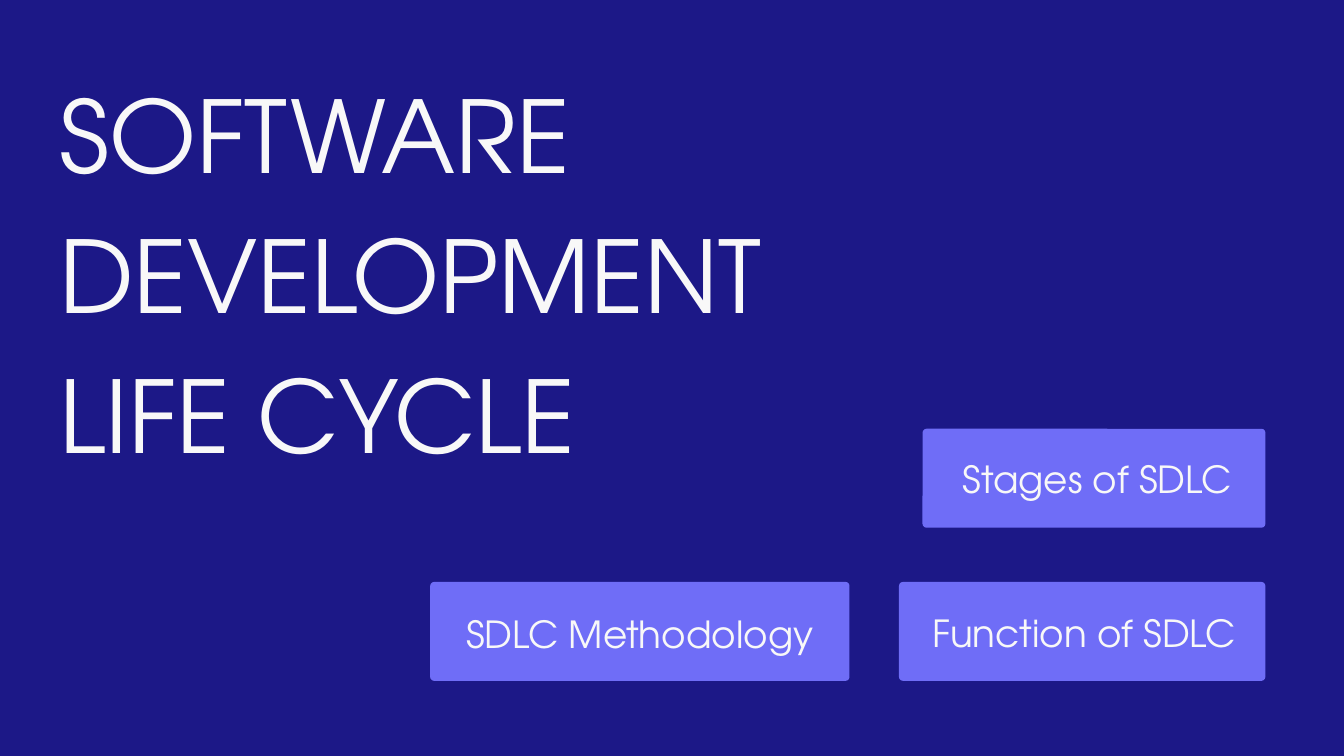
from pptx import Presentation
from pptx.dml.color import RGBColor
from pptx.enum.shapes import MSO_SHAPE
from pptx.enum.text import PP_ALIGN
from pptx.util import Cm, Pt

ROUNDED = MSO_SHAPE.ROUNDED_RECTANGLE
LEFT, CENTER = PP_ALIGN.LEFT, PP_ALIGN.CENTER

FONT = "TeX Gyre Adventor"
NAVY, VIOLET, WHITE = "1C1887", "6F6DF7", "F8F8F8"

BUTTON_HEIGHT = 3.74
BUTTON_RIGHT = 47.83
LABEL_HEIGHT = 2.13
UPPER_ROW, LOWER_ROW = 16.21, 22.0

# label, button left, button right, button top, label centre, label top
BUTTONS = [
    ("SDLC Methodology", 16.26, 32.11, LOWER_ROW, 24.18, 22.83),
    ("Stages of SDLC", 34.87, BUTTON_RIGHT, UPPER_ROW, 41.47, 16.97),
    ("Function of SDLC", 33.98, BUTTON_RIGHT, LOWER_ROW, 40.98, 22.78),
]
LABEL_WIDTH = 12.78
METHODOLOGY_WIDTH = 15.85


def paint(fill, color):
    fill.solid()
    fill.fore_color.rgb = RGBColor.from_string(color)


def add_text(slide, text, left, top, width, height, size, leading, align):
    frame = slide.shapes.add_textbox(
        Cm(left), Cm(top), Cm(width), Cm(height)).text_frame
    frame.margin_left = frame.margin_right = 0
    frame.margin_top = frame.margin_bottom = 0
    frame.word_wrap = True
    frame.text = text
    paragraph = frame.paragraphs[0]
    paragraph.alignment = align
    paragraph.line_spacing = Pt(leading)
    font = paragraph.runs[0].font
    font.name = FONT
    font.size = Pt(size)
    font.color.rgb = RGBColor.from_string(WHITE)


def add_button(slide, label, left, right, top, label_center, label_top):
    """Add a rounded panel and its label, which is centred separately."""
    panel = slide.shapes.add_shape(
        ROUNDED, Cm(left), Cm(top), Cm(right - left), Cm(BUTTON_HEIGHT))
    panel.adjustments[0] = 0.04
    panel.shadow.inherit = False
    panel.line.fill.background()
    paint(panel.fill, VIOLET)

    width = max(LABEL_WIDTH, right - left)
    add_text(slide, label, label_center - width / 2, label_top,
             width, LABEL_HEIGHT, 40, 56, CENTER)


def main():
    deck = Presentation()
    deck.slide_width, deck.slide_height = Cm(50.8), Cm(28.58)
    slide = deck.slides.add_slide(deck.slide_layouts[6])
    paint(slide.background.fill, NAVY)

    add_text(slide, "SOFTWARE DEVELOPMENT LIFE CYCLE",
             2.24, 2.01, 31.42, 15.85, 107.2, 150, LEFT)
    for button in BUTTONS:
        add_button(slide, *button)

    deck.save("out.pptx")


if __name__ == "__main__":
    main()
